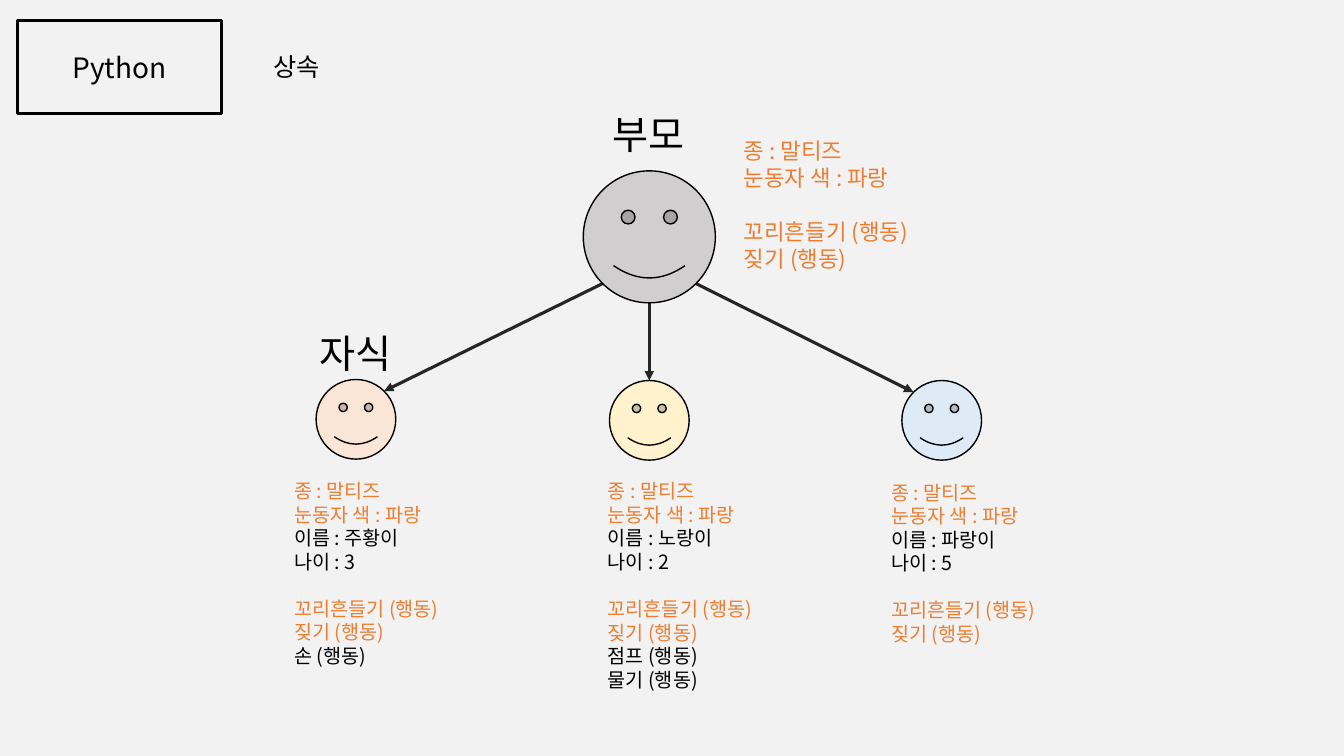
"""Build a slide on class inheritance: one parent face and three children."""
import math

import pptx
import pptx.dml.color
import pptx.enum.shapes
import pptx.enum.text
import pptx.util
from lxml import etree
from pptx.util import Inches, Pt

FONT = "Noto Sans CJK KR"
BLACK, ORANGE, ARROW = "000000", "ED7D31", "262626"
LINE_PITCH = 1.2
BOX_WIDTH = 2.4

TRAITS = ["종 : 말티즈", "눈동자 색 : 파랑"]
ACTIONS = ["꼬리흔들기 (행동)", "짖기 (행동)"]
PARENT = {"center": (6.44, 2.35), "size": 1.31, "fill": "D0CECE",
          "box": (7.28, 1.23, 1.6), "traits": [], "actions": []}
CHILDREN = [
    {"center": (3.53, 4.16), "size": 0.79, "fill": "FBE5D6", "box": (2.82, 4.58, 2.21),
     "traits": ["이름 : 주황이", "나이 : 3"], "actions": ["손 (행동)"]},
    {"center": (6.44, 4.17), "size": 0.79, "fill": "FFF2CC", "box": (5.93, 4.58, 2.45),
     "traits": ["이름 : 노랑이", "나이 : 2"], "actions": ["점프 (행동)", "물기 (행동)"]},
    {"center": (9.34, 4.17), "size": 0.79, "fill": "DEEBF7", "box": (8.74, 4.36, 2.45),
     "traits": ["이름 : 파랑이", "나이 : 5"], "actions": []},
]
HEADINGS = [("부모", 5.98, 1.05), ("자식", 3.07, 3.22)]


def color(value):
    return pptx.dml.color.RGBColor.from_string(value)


def place(left, top, width, height):
    return [Inches(length) for length in (left, top, width, height)]


def write(shape, lines, size, anchor="TOP", align="LEFT", wrap=True):
    """Fill a shape with (text, colour, space before) lines."""
    frame = shape.text_frame
    frame.word_wrap = wrap
    frame.auto_size = pptx.enum.text.MSO_AUTO_SIZE.NONE
    frame.vertical_anchor = getattr(pptx.enum.text.MSO_ANCHOR, anchor)
    for index, (text, shade, gap) in enumerate(lines):
        para = frame.add_paragraph() if index else frame.paragraphs[0]
        span = para.add_run()
        span.text = text
        para.alignment = getattr(pptx.enum.text.PP_ALIGN, align)
        para.line_spacing = Pt(size * LINE_PITCH)
        para.space_before = Pt(gap)
        para.font.size = Pt(size)
        para.font.name = FONT
        para.font.color.rgb = color(shade)
        east_asian = etree.SubElement(span.font._element, pptx.oxml.ns.qn("a:ea"))
        east_asian.set("typeface", FONT)


def add_shape(page, kind, bounds, line_width, fill=None):
    shape = page.shapes.add_shape(kind, *place(*bounds))
    shape.shadow.inherit = False
    if fill:
        shape.fill.solid()
        shape.fill.fore_color.rgb = color(fill)
    else:
        shape.fill.background()
    shape.line.color.rgb = color(BLACK)
    shape.line.width = Pt(line_width)
    return shape


def add_face(page, dog):
    x, y = dog["center"]
    size = dog["size"]
    add_shape(page, pptx.enum.shapes.MSO_SHAPE.SMILEY_FACE,
              (x - size / 2, y - size / 2, size, size), 1, dog["fill"])


def add_details(page, dog, size):
    left, top, height = dog["box"]
    lines = [(text, ORANGE, 0) for text in TRAITS]
    lines += [(text, BLACK, 0) for text in dog["traits"]]
    lines += [(text, ORANGE, 0 if index else size * LINE_PITCH)
              for index, text in enumerate(ACTIONS)]
    lines += [(text, BLACK, 0) for text in dog["actions"]]
    box = page.shapes.add_textbox(*place(left, top, BOX_WIDTH, height))
    write(box, lines, size, anchor="MIDDLE")


def add_arrow(page, parent, child):
    side = round(child["center"][0] - parent["center"][0])
    angle = math.pi / 4 * ((side > 0) - (side < 0))
    points = []
    for dog, sign in ((parent, 1), (child, -1)):
        x, y = dog["center"]
        radius = sign * dog["size"] / 2
        points += [Inches(x + radius * math.sin(angle)), Inches(y + radius * math.cos(angle))]
    arrow = page.shapes.add_connector(pptx.enum.shapes.MSO_CONNECTOR.STRAIGHT, *points)
    arrow.line.color.rgb = color(ARROW)
    arrow.line.width = Pt(2.25)
    line = arrow.line._get_or_add_ln()
    etree.SubElement(line, pptx.oxml.ns.qn("a:tailEnd")).set("type", "triangle")
    etree.SubElement(arrow._element.spPr, pptx.oxml.ns.qn("a:effectLst"))


def main():
    deck = pptx.Presentation()
    deck.slide_width, deck.slide_height = Inches(13.33), Inches(7.5)
    page = deck.slides.add_slide(deck.slide_layouts[5])
    page.background.fill.solid()
    page.background.fill.fore_color.rgb = color("F2F2F2")

    title = page.shapes.title
    title.left, title.top, title.width, title.height = place(2.61, 0.46, 3.64, 0.4)
    write(title, [("상속", BLACK, 0)], 18)
    badge = add_shape(page, pptx.enum.shapes.MSO_SHAPE.RECTANGLE, (0.17, 0.2, 2.03, 0.93), 2)
    write(badge, [("Python", BLACK, 0)], 20, anchor="MIDDLE", align="CENTER")

    for child in CHILDREN:
        add_arrow(page, PARENT, child)
    for dog in [PARENT] + CHILDREN:
        add_face(page, dog)
        add_details(page, dog, 16 if dog is PARENT else 14)
    for text, left, top in HEADINGS:
        box = page.shapes.add_textbox(*place(left, top, 0.92, 0.57))
        write(box, [(text, BLACK, 0)], 28, wrap=False)

    deck.save("out.pptx")


if __name__ == "__main__":
    main()
